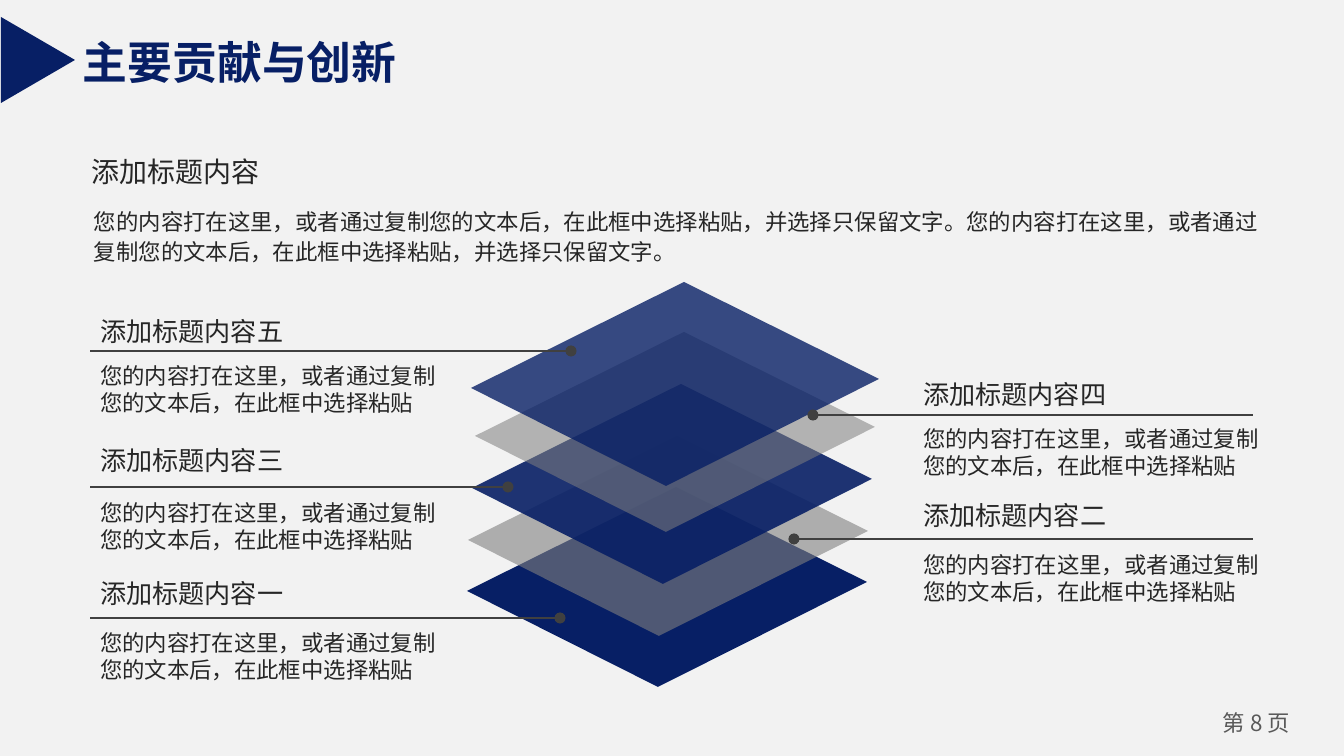
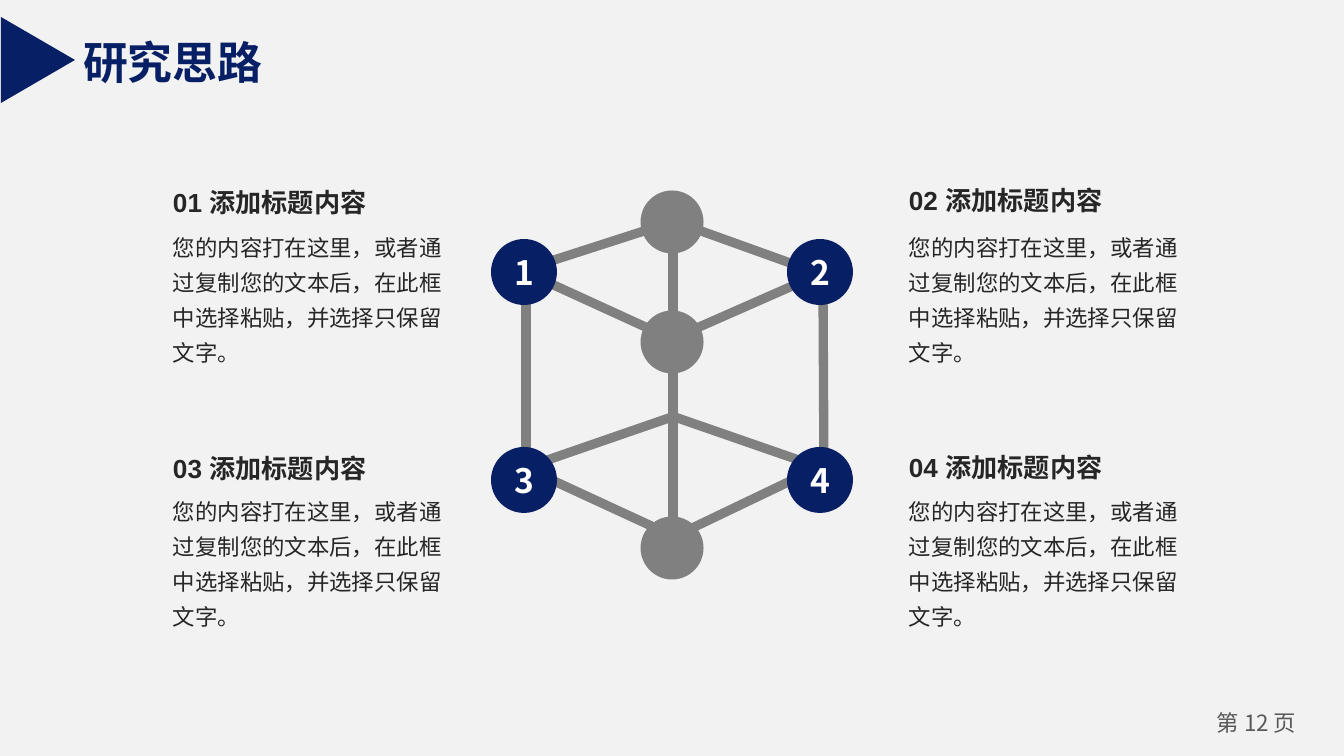
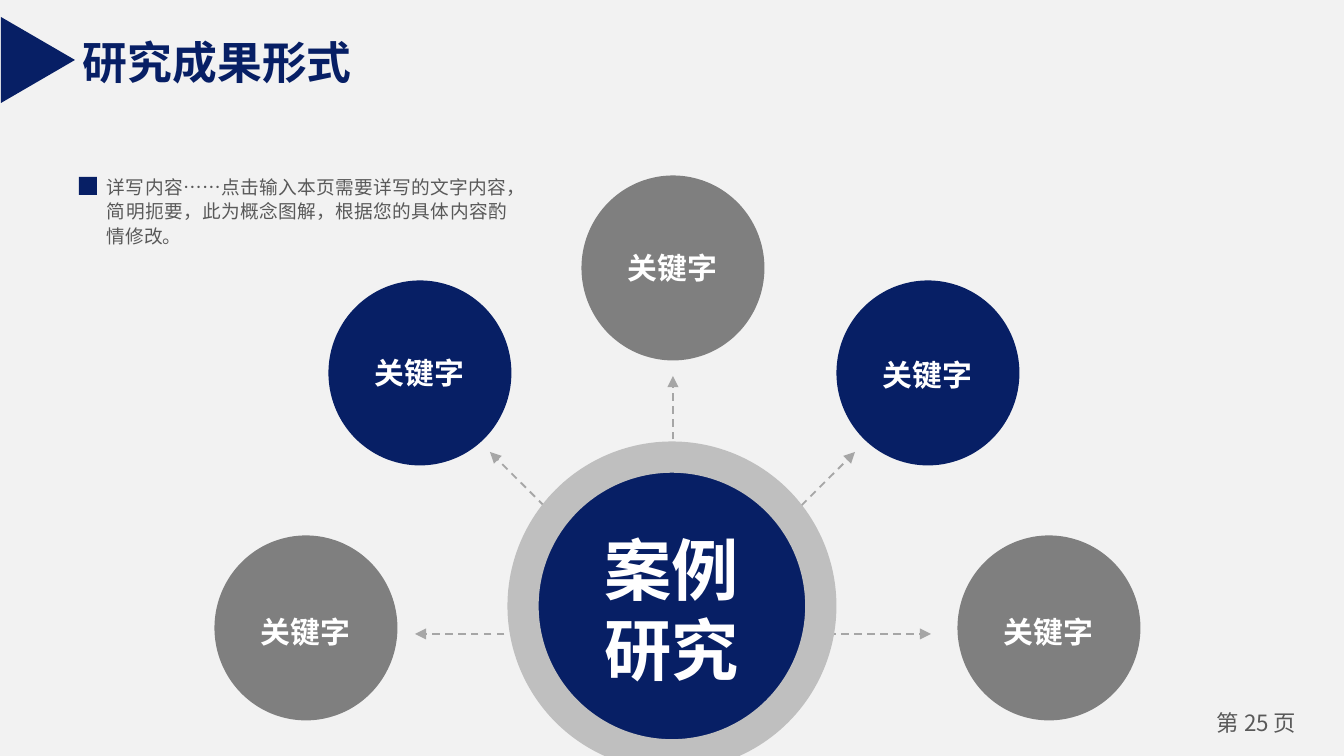
from lxml.etree import SubElement
from pptx import Presentation
from pptx.dml.color import RGBColor
from pptx.enum.dml import MSO_LINE
from pptx.enum.shapes import MSO_CONNECTOR, MSO_SHAPE as SHAPE
from pptx.enum.text import MSO_ANCHOR, PP_ALIGN as ALIGN
from pptx.oxml.ns import qn
from pptx.util import Pt

EMU_PER_PX = 914400 / 134.4
LINE_HEIGHT = 1.2
CJK = "Noto Sans CJK SC"
COLORS = {
    "paper": "F2F2F2", "navy": "071F65", "grey": "7F7F7F", "frame": "808080",
    "ring": "BFBFBF", "arrow": "A6A6A6", "leader": "404040",
    "ink": "262626", "soft": "595959", "white": "FFFFFF",
}

# Slide 1: stacked layers with callouts
INTRO_HEADING = "添加标题内容"
SENTENCE = "您的内容打在这里，或者通过复制您的文本后，在此框中选择粘贴，并选择只保留文字。"
CALLOUT_BODY = "您的内容打在这里，或者通过复制您的文本后，在此框中选择粘贴"
LAYER_CORNERS = [(0, 0), (209, -104), (400, -9), (191, 96)]
LAYERS = [  # left corner, colour, opacity in percent, scale
    ((467, 591), "navy", 100, 1), ((468, 540), "grey", 60, 1),
    ((472, 488), "navy", 90, 1), ((475, 436), "grey", 55, 1),
    ((471, 388), "navy", 80, 1.02),
]
SIDES = {"left": (87, 90), "right": (910, 1253)}  # text left, outer line end
CALLOUTS = [  # side, heading, heading top, line y, dot x, body top
    ("left", "添加标题内容五", 308, 351, 571, 355),
    ("right", "添加标题内容四", 371, 415, 813, 418),
    ("right", "添加标题内容二", 492, 539, 794, 544),
    ("left", "添加标题内容三", 437, 487, 508, 492),
    ("left", "添加标题内容一", 570, 618, 560, 622),
]

# Slide 2: cube of nodes
CUBE_EDGES = [
    ((672, 222), (520, 271)), ((805, 474), (684, 532)),
    ((672, 417), (536, 464)), ((806, 280), (672, 339)),
    ((660, 530), (543, 476)), ((813, 465), (669, 415)),
    ((818, 273), (676, 222)), ((663, 335), (534, 276)),
    ((526, 280), (526, 472)), ((823, 280), (824, 472)),
    ((673, 235), (673, 534)),
]
NUMBERED_NODES = {"1": (524, 272), "2": (820, 272), "3": (524, 480), "4": (820, 480)}
PLAIN_NODES = [(672, 222), (672, 342), (672, 548)]
IDEAS = [  # heading, left, heading top, body top
    ("01 添加标题内容", 160, 179, 219), ("02 添加标题内容", 896, 177, 219),
    ("03 添加标题内容", 160, 445, 483), ("04 添加标题内容", 896, 444, 483),
]

# Slide 3: hub and keywords
NOTE = "详写内容……点击输入本页需要详写的文字内容，简明扼要，此为概念图解，根据您的具体内容酌情修改。"
HUB_LABEL = "案例研究"
HUB_CENTER = (672, 606)
ARROW_START = (673, 634)
KEYWORD = "关键字"
KEYWORDS = [  # circle centre, colour, label top, arrow tip
    ((306, 628), "grey", 606, (415, 634)),
    ((420, 373), "navy", 347, (490, 452)),
    ((673, 268), "grey", 242, (673, 376)),
    ((928, 373), "navy", 349, (855, 452)),
    ((1049, 628), "grey", 606, (931, 634)),
]


def px(*lengths):
    return [round(length * EMU_PER_PX) for length in lengths]


def color(name):
    return RGBColor.from_string(COLORS[name])


def write(frame, text, size, ink, font=CJK, bold=False, align=ALIGN.LEFT, leading=1):
    frame.word_wrap = True
    frame.text = text
    paragraph = frame.paragraphs[0]
    paragraph.alignment = align
    paragraph.line_spacing = Pt(round(size * LINE_HEIGHT * leading, 1))
    run = paragraph.runs[0]
    run.font.size = Pt(size)
    run.font.bold = bold
    run.font.color.rgb = color(ink)
    run.font.name = font
    SubElement(run.font._element, qn("a:ea"), typeface=CJK)


def add_text(slide, box, text, size, ink="ink", inset=(13, 7), **style):
    frame = slide.shapes.add_textbox(*px(*box)).text_frame
    frame.margin_left, frame.margin_top = px(*inset)
    frame.margin_right, frame.margin_bottom = px(*inset)
    write(frame, text, size, ink, **style)


def paint(shape, fill, opacity=100):
    """Give a shape a plain fill, with no outline or shadow."""
    shape.shadow.inherit = False
    shape.fill.solid()
    shape.fill.fore_color.rgb = color(fill)
    shape.line.fill.background()
    if opacity < 100:
        tint = shape.element.spPr.find(qn("a:solidFill"))[0]
        SubElement(tint, qn("a:alpha"), val=str(opacity * 1000))
    return shape


def add_shape(slide, kind, box, fill):
    return paint(slide.shapes.add_shape(kind, *px(*box)), fill)


def add_disc(slide, center, width, height, fill, kind=SHAPE.OVAL):
    x, y = center
    return add_shape(slide, kind, (x - width / 2, y - height / 2, width, height), fill)


def add_line(slide, start, end, ink, width, dash=None, head=None, tail=None):
    connector = slide.shapes.add_connector(MSO_CONNECTOR.STRAIGHT, *px(*start, *end))
    connector.line.color.rgb = color(ink)
    connector.line.width = Pt(width)
    if dash:
        connector.line.dash_style = dash
    properties = connector.element.spPr
    outline = properties.find(qn("a:ln"))
    for tag, arrowhead in (("a:headEnd", head), ("a:tailEnd", tail)):
        if arrowhead:
            SubElement(outline, qn(tag), type=arrowhead)
    SubElement(properties, qn("a:effectLst"))


def add_page(deck, title, number):
    """Add a slide with the shared title, marker and page number."""
    slide = deck.slides.add_slide(deck.slide_layouts[6])
    add_text(slide, (1196, 704, 121, 40), f"第 {number} 页", 12, "soft",
             inset=(9, 5), align=ALIGN.CENTER)
    add_text(slide, (70, 28, 45 * len(title) + 28, 67), title, 24, "navy",
             font="Arial", bold=True)
    marker = add_shape(slide, SHAPE.ISOSCELES_TRIANGLE, (-5, 23, 86, 74), "navy")
    marker.rotation = 90
    return slide


def build_contributions(deck):
    slide = add_page(deck, "主要贡献与创新", 8)
    for (left, top), fill, opacity, scale in LAYERS:
        corners = [(left + x * scale, top + y * scale) for x, y in LAYER_CORNERS]
        outline = slide.shapes.build_freeform(*corners[0], scale=EMU_PER_PX)
        outline.add_line_segments(corners[1:], close=True)
        paint(outline.convert_to_shape(), fill, opacity)
    for side, heading, heading_top, line_y, dot_x, body_top in CALLOUTS:
        left, line_end = SIDES[side]
        add_line(slide, (dot_x, line_y), (line_end, line_y), "leader", 1, head="oval")
        add_text(slide, (left, body_top, 366, 68), CALLOUT_BODY, 12)
        add_text(slide, (left, heading_top, 246, 46), heading, 14)
    add_text(slide, (79, 148, 198, 47), INTRO_HEADING, 15)
    add_text(slide, (81, 199, 1193, 74), SENTENCE * 2, 12, leading=1.1)


def build_ideas(deck):
    slide = add_page(deck, "研究思路", 12)
    for start, end in CUBE_EDGES:
        add_line(slide, start, end, "frame", 5)
    for number, center in NUMBERED_NODES.items():
        node = add_disc(slide, center, 66, 66, "navy")
        write(node.text_frame, number, 18, "white", bold=True, align=ALIGN.CENTER)
        node.text_frame.vertical_anchor = MSO_ANCHOR.MIDDLE
    for center in PLAIN_NODES:
        add_disc(slide, center, 63, 63, "frame")
    for heading, left, heading_top, body_top in IDEAS:
        add_text(slide, (left, heading_top, 296, 46), heading, 14, font="Arial", bold=True)
        add_text(slide, (left, body_top, 296, 155), SENTENCE, 12, leading=1.3)


def build_results(deck):
    slide = add_page(deck, "研究成果形式", 25)
    for _, _, _, tip in KEYWORDS:
        add_line(slide, ARROW_START, tip, "arrow", 1, dash=MSO_LINE.DASH, tail="triangle")
    add_disc(slide, HUB_CENTER, 276, 276, "navy")
    ring = add_disc(slide, HUB_CENTER, 329, 329, "ring", SHAPE.DONUT)
    ring.adjustments[0] = 0.095
    add_text(slide, (585, 521, 173, 176), HUB_LABEL, 36, "white",
             bold=True, align=ALIGN.CENTER)
    for center, fill, label_top, _ in KEYWORDS:
        add_disc(slide, center, 183, 185, fill)
        add_text(slide, (center[0] - 66, label_top, 131, 52), KEYWORD, 16, "white",
                 inset=(16, 8), bold=True, align=ALIGN.CENTER)
    add_text(slide, (107, 174, 400, 74), NOTE, 10, "soft", inset=(0, 0),
             align=ALIGN.JUSTIFY, leading=1.08)
    add_shape(slide, SHAPE.RECTANGLE, (79, 177, 18, 18), "navy")


def main():
    deck = Presentation()
    deck.slide_width, deck.slide_height = px(1344, 756)
    backdrop = deck.slide_master.background.fill
    backdrop.solid()
    backdrop.fore_color.rgb = color("paper")
    build_contributions(deck)
    build_ideas(deck)
    build_results(deck)
    deck.save("out.pptx")


if __name__ == "__main__":
    main()
